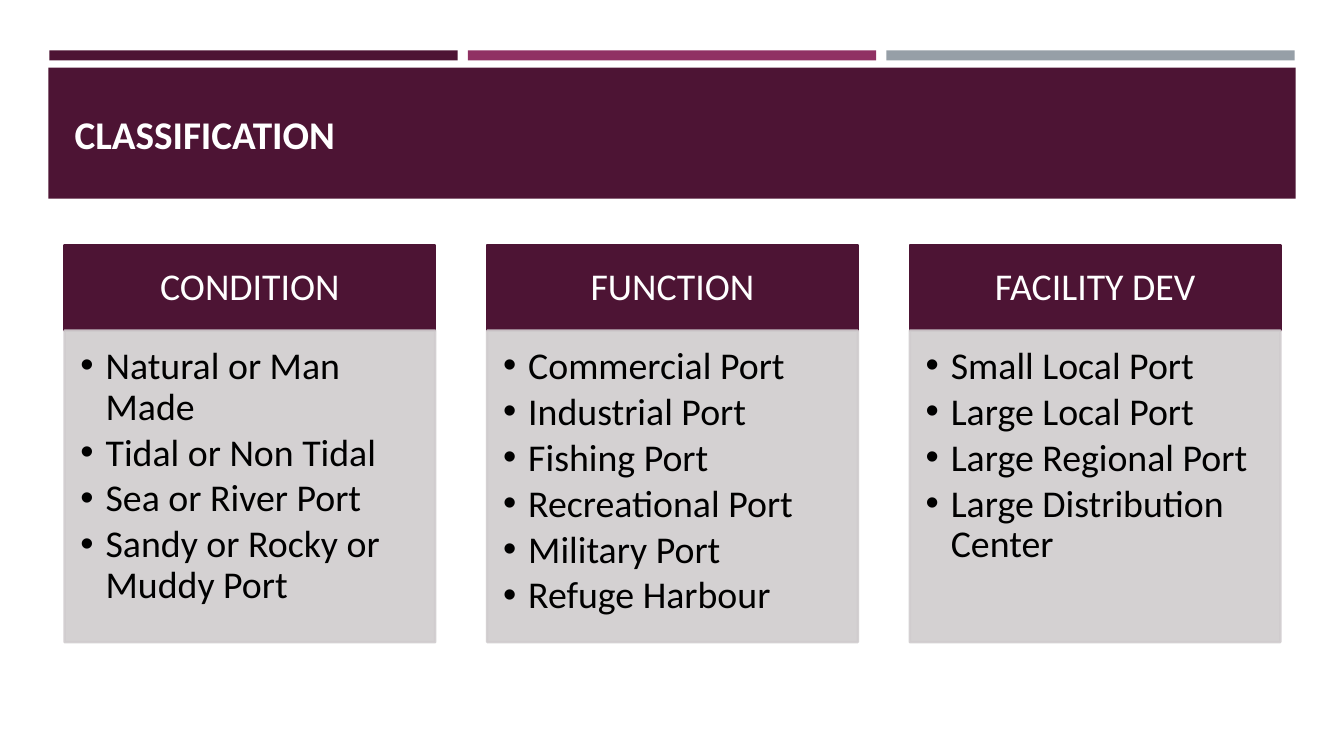
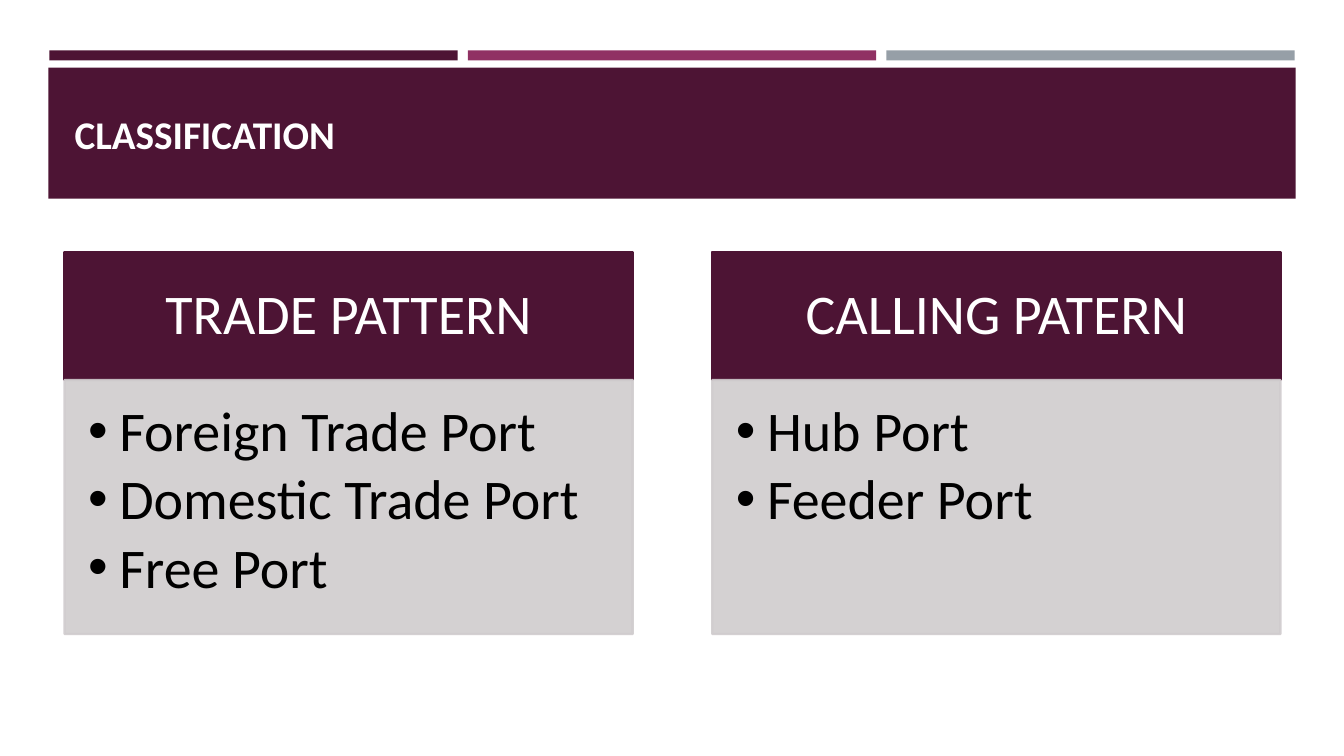
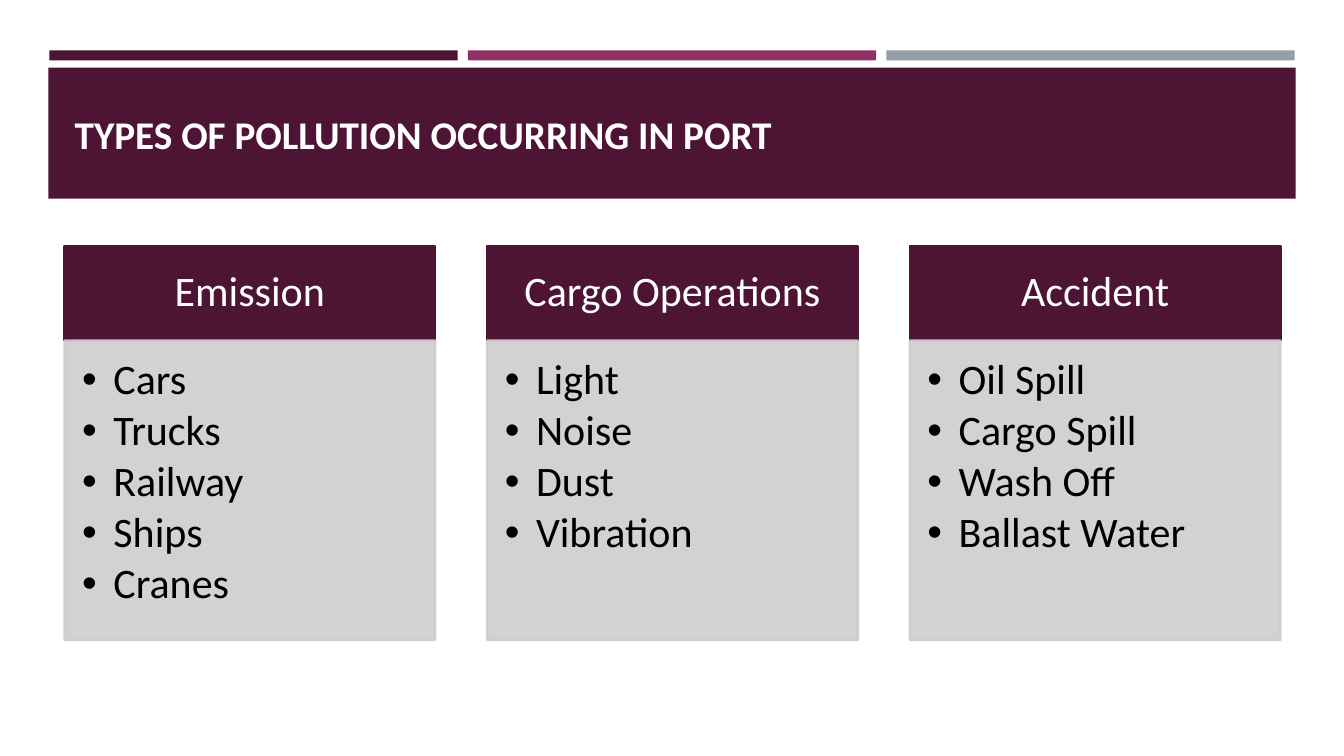
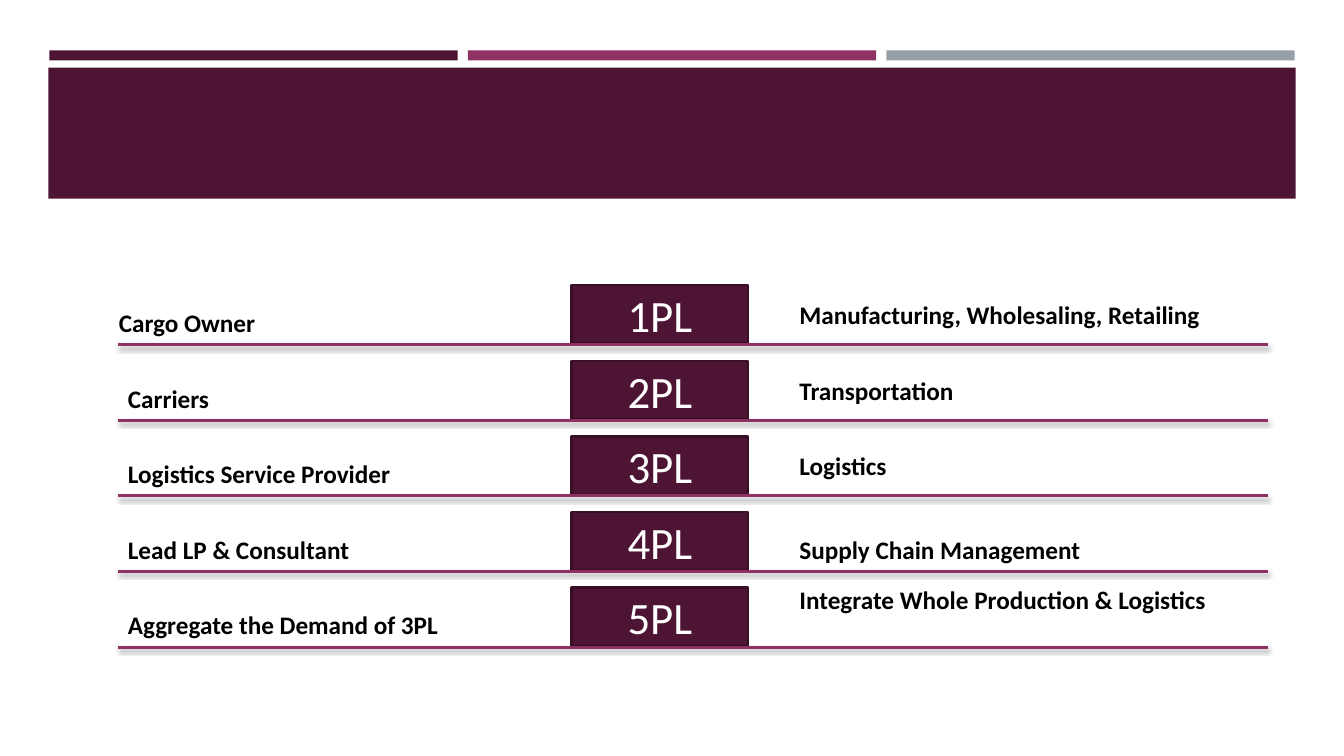
from dataclasses import dataclass

from lxml import etree
from pptx import Presentation
from pptx.dml.color import RGBColor
from pptx.enum.shapes import MSO_CONNECTOR, MSO_SHAPE
from pptx.enum.text import MSO_ANCHOR, MSO_AUTO_SIZE, PP_ALIGN
from pptx.oxml.ns import qn
from pptx.util import Inches, Pt

RECTANGLE = MSO_SHAPE.RECTANGLE
STRAIGHT = MSO_CONNECTOR.STRAIGHT
TOP, MIDDLE = MSO_ANCHOR.TOP, MSO_ANCHOR.MIDDLE
LEFT, CENTER = PP_ALIGN.LEFT, PP_ALIGN.CENTER
NO_FIT, GROW = MSO_AUTO_SIZE.NONE, MSO_AUTO_SIZE.SHAPE_TO_FIT_TEXT
TITLE_ONLY, BLANK = 5, 6


@dataclass(frozen=True)
class Theme:
    font: str = "Calibri"
    plum: str = "4D1434"
    dark_plum: str = "390F26"
    magenta: str = "903163"
    slate: str = "969FA7"
    panel: str = "D0CCCE"
    white: str = "FFFFFF"
    black: str = "000000"
    title_size: int = 28
    level_size: int = 32
    label_size: int = 18
    outline: float = 1.75
    rule: float = 2


@dataclass(frozen=True)
class Box:
    left: float
    top: float
    width: float
    height: float

    def lengths(self):
        return [Inches(side) for side in (self.left, self.top, self.width, self.height)]


THEME = Theme()
TITLE_BOX = Box(0.64, 0.77, 12.06, 1.11)
BAND_BOX = Box(0.48, 0.67, 12.37, 1.3)
STRIPES_BOX = Box(0.49, 0.5, 12.35, 0.1)
LEVELS_BOX = Box(1.17, 2.83, 11.41, 3.75)

COLUMN_SLIDES = [
    ("CLASSIFICATION", Box(0.64, 2.43, 12.06, 3.94), 0.85, 27, 0.25, [
        ("CONDITION", ["Natural or Man Made", "Tidal or Non Tidal", "Sea or River Port",
                       "Sandy or Rocky or Muddy Port"]),
        ("FUNCTION", ["Commercial Port", "Industrial Port", "Fishing Port",
                      "Recreational Port", "Military Port", "Refuge Harbour"]),
        ("FACILITY DEV", ["Small Local Port", "Large Local Port", "Large Regional Port",
                          "Large Distribution Center"]),
    ]),
    ("CLASSIFICATION", Box(0.64, 2.5, 12.06, 3.79), 1.27, 40, 0.31, [
        ("TRADE PATTERN", ["Foreign Trade Port", "Domestic Trade Port", "Free Port"]),
        ("CALLING PATERN", ["Hub Port", "Feeder Port"]),
    ]),
    ("TYPES OF POLLUTION OCCURRING IN PORT", Box(0.64, 2.44, 12.06, 3.91), 0.94, 30, 0.31, [
        ("Emission", ["Cars", "Trucks", "Railway", "Ships", "Cranes"]),
        ("Cargo Operations", ["Light", "Noise", "Dust", "Vibration"]),
        ("Accident", ["Oil Spill", "Cargo Spill", "Wash Off", "Ballast Water"]),
    ]),
]

LEVELS = [
    ("1PL", "Cargo Owner", -0.09, "Manufacturing, Wholesaling, Retailing", 0.09),
    ("2PL", "Carriers", 0, "Transportation", 0.09),
    ("3PL", "Logistics Service Provider", 0, "Logistics", 0.09),
    ("4PL", "Lead LP & Consultant", 0, "Supply Chain Management", 0.17),
    ("5PL", "Aggregate the Demand of 3PL", 0, "Integrate Whole Production & Logistics", -0.08),
]


def color(code):
    return RGBColor.from_string(code)


def add_rectangle(slide, box, fill, line=None):
    shape = slide.shapes.add_shape(RECTANGLE, *box.lengths())
    shape.shadow.inherit = False
    shape.fill.solid()
    shape.fill.fore_color.rgb = color(fill)
    if line:
        shape.line.color.rgb = color(line)
        shape.line.width = Pt(THEME.outline)
    else:
        shape.line.fill.background()
    return shape


def set_opacity(shape, percent):
    for tint in shape.element.spPr.iter(qn("a:srgbClr")):
        etree.SubElement(tint, qn("a:alpha"), val=str(percent * 1000))


def set_frame(frame, anchor, insets=(0.1, 0.05, 0.1, 0.05), fit=NO_FIT):
    frame.word_wrap = True
    frame.auto_size = fit
    frame.vertical_anchor = anchor
    (frame.margin_left, frame.margin_top,
     frame.margin_right, frame.margin_bottom) = [Inches(inset) for inset in insets]


def write(para, text, size, tint, bold=False, align=LEFT):
    para.alignment = align
    span = para.add_run()
    span.text = text
    span.font.name = THEME.font
    span.font.size = Pt(size)
    span.font.bold = bold
    span.font.color.rgb = color(tint)


def add_bullet(para, indent):
    properties = para._p.get_or_add_pPr()
    properties.set("marL", str(Inches(indent)))
    properties.set("indent", str(-Inches(indent)))
    etree.SubElement(properties, qn("a:buFont"), typeface="Arial")
    etree.SubElement(properties, qn("a:buChar"), char="•")


def move_bands_to_master(deck, slide):
    tints = (THEME.plum, THEME.magenta, THEME.slate)
    step = (STRIPES_BOX.width + 0.1) / len(tints)
    bands = [
        add_rectangle(slide, Box(STRIPES_BOX.left + index * step, STRIPES_BOX.top,
                                 step - 0.1, STRIPES_BOX.height), tint)
        for index, tint in enumerate(tints)
    ]
    bands.append(add_rectangle(slide, BAND_BOX, THEME.plum))
    for number, band in enumerate(bands, 20):
        band.element.nvSpPr.cNvPr.set("id", str(number))
        deck.slide_master.shapes.element.append(band.element)


def place_title(slide, box, text):
    title = slide.shapes.title
    title.left, title.top, title.width, title.height = box.lengths()
    set_frame(title.text_frame, MIDDLE)
    write(title.text_frame.paragraphs[0], text, THEME.title_size, THEME.white, bold=True)


def add_column(slide, box, header_height, size, indent, heading, items):
    unit = size / 72
    header = add_rectangle(slide, Box(box.left, box.top, box.width, header_height),
                           THEME.plum, THEME.plum)
    set_frame(header.text_frame, MIDDLE,
              (0.56 * unit, 0.32 * unit, 0.56 * unit, 0.32 * unit))
    para = header.text_frame.paragraphs[0]
    write(para, heading, size, THEME.white, align=CENTER)
    para.line_spacing = 0.9

    panel = add_rectangle(slide, Box(box.left, box.top + header_height, box.width,
                                     box.height - header_height), THEME.panel, THEME.panel)
    set_opacity(panel, 90)
    frame = panel.text_frame
    set_frame(frame, TOP, (0.42 * unit, 0.42 * unit, 0.56 * unit, 0.64 * unit))
    for index, item in enumerate(items):
        para = frame.add_paragraph() if index else frame.paragraphs[0]
        write(para, item, size, THEME.black)
        para.line_spacing = 0.9
        para.space_after = Pt(size * 0.135)
        add_bullet(para, indent)


def add_columns(slide, box, header_height, size, indent, columns):
    gap_ratio = 0.14
    width = box.width / (len(columns) + gap_ratio * (len(columns) - 1))
    for index, (heading, items) in enumerate(columns):
        left = box.left + index * width * (1 + gap_ratio)
        add_column(slide, Box(left, box.top, width, box.height),
                   header_height, size, indent, heading, items)


def add_label(slide, box, text):
    label = slide.shapes.add_textbox(*box.lengths())
    set_frame(label.text_frame, TOP, fit=GROW)
    write(label.text_frame.paragraphs[0], text, THEME.label_size, THEME.black, bold=True)


def add_rule(slide, left, top, width):
    rule = slide.shapes.add_connector(STRAIGHT, Inches(left), Inches(top),
                                      Inches(left + width), Inches(top))
    rule.line.color.rgb = color(THEME.magenta)
    rule.line.width = Pt(THEME.rule)
    effects = etree.SubElement(rule.element.spPr, qn("a:effectLst"))
    shadow = etree.SubElement(effects, qn("a:outerShdw"), blurRad=str(Pt(3)),
                              dist=str(Pt(2)), dir="5400000", rotWithShape="0")
    tint = etree.SubElement(shadow, qn("a:srgbClr"), val=THEME.black)
    etree.SubElement(tint, qn("a:alpha"), val="55000")


def add_level(slide, box, level, role, role_shift, activity, activity_drop):
    badge = add_rectangle(slide, Box(box.left + 4.5, box.top, 1.75, 0.58),
                          THEME.plum, THEME.dark_plum)
    set_frame(badge.text_frame, MIDDLE)
    write(badge.text_frame.paragraphs[0], level, THEME.level_size, THEME.white, align=CENTER)
    add_rule(slide, box.left, box.top + 0.59, box.width)
    add_label(slide, Box(box.left + role_shift, box.top + 0.17, 4.33, 0.4), role)
    add_label(slide, Box(box.left + 6.66, box.top + activity_drop, 4.75, 0.4), activity)


def add_levels(slide, box, levels):
    pitch = box.height / len(levels)
    for index, level in enumerate(levels):
        row = Box(box.left, box.top + index * pitch, box.width, pitch)
        add_level(slide, row, *level)


def main():
    deck = Presentation()
    deck.slide_width, deck.slide_height = Inches(13.33), Inches(7.5)
    for title, box, header_height, size, indent, columns in COLUMN_SLIDES:
        slide = deck.slides.add_slide(deck.slide_layouts[TITLE_ONLY])
        place_title(slide, TITLE_BOX, title)
        add_columns(slide, box, header_height, size, indent, columns)
    slide = deck.slides.add_slide(deck.slide_layouts[BLANK])
    move_bands_to_master(deck, slide)
    add_levels(slide, LEVELS_BOX, LEVELS)
    deck.save("out.pptx")


if __name__ == "__main__":
    main()
